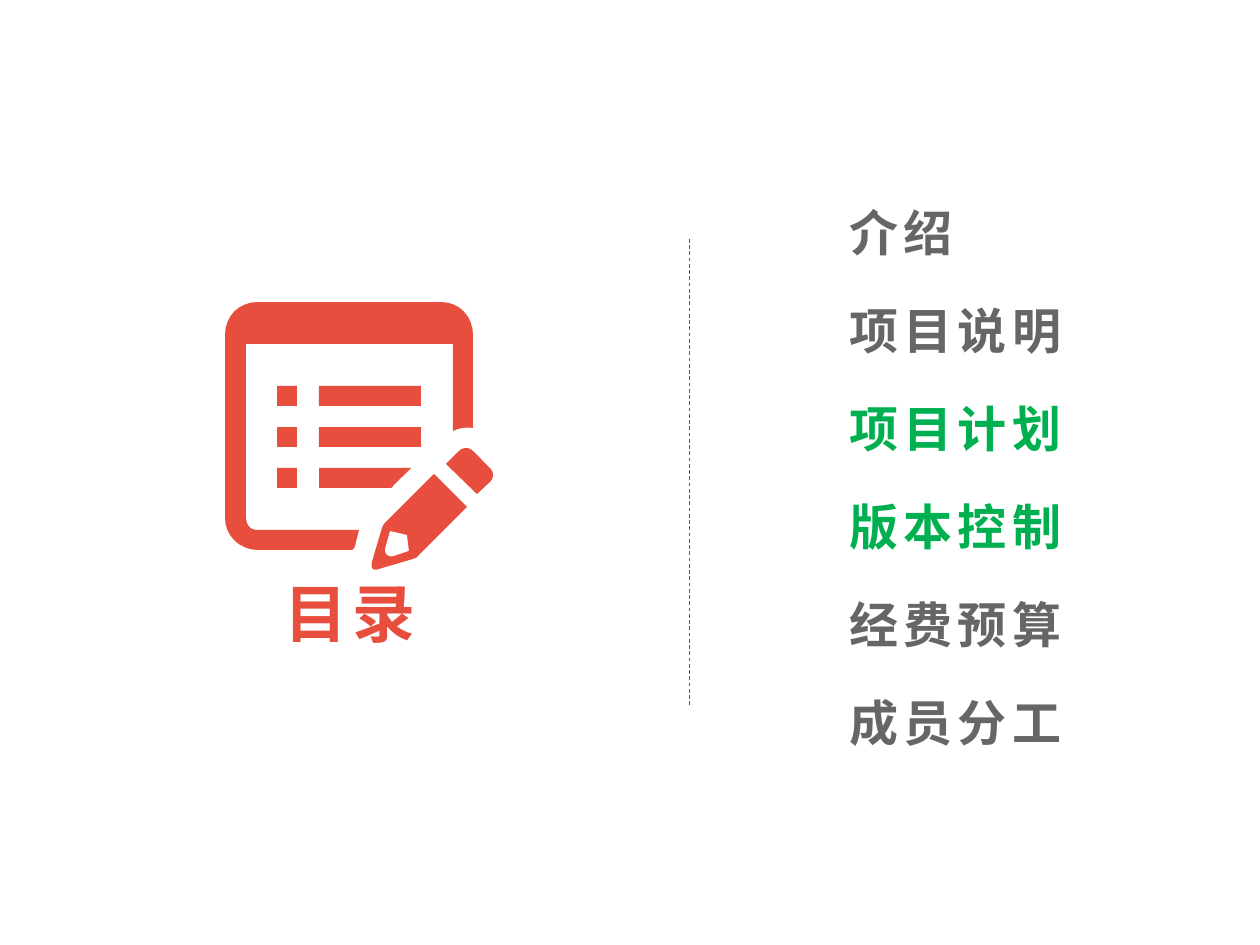
from pptx import Presentation
from pptx.dml.color import RGBColor
from pptx.enum.dml import MSO_LINE
from pptx.enum.shapes import MSO_CONNECTOR as CONN, MSO_SHAPE as SHAPE
from pptx.enum.text import MSO_ANCHOR as ANCHOR, MSO_AUTO_SIZE as AUTO, PP_ALIGN as ALIGN
from pptx.oxml.ns import qn
from pptx.util import Pt

# Content
TITLE = "目录"
TOPICS = [
    ("介绍", "gray"),
    ("项目说明", "gray"),
    ("项目计划", "green"),
    ("版本控制", "green"),
    ("经费预算", "gray"),
    ("成员分工", "gray"),
]
COLORS = {"red": "E74E3E", "gray": "666666", "green": "00B050", "blue": "0174AB"}
FONT = "Noto Sans CJK SC"

# Icon outlines in px: a pair is a corner, six numbers are a Bézier curve
PAGE = [(359, 530), (355, 546), (354, 549, 353, 550, 350, 550), (258, 550),
        (240, 550, 225, 536, 225, 518), (225, 335), (225, 316, 239, 302, 258, 302),
        (441, 302), (459, 302, 473, 316, 473, 335), (473, 428),
        (466, 427, 459, 428, 453, 431), (453, 344), (246, 344), (246, 517),
        (246, 525, 250, 530, 258, 530)]
PENCIL = [(434, 474), (467, 507), (418, 556), (417, 558, 415, 558, 413, 559),
          (379, 569), (374, 571, 370, 569, 372, 562), (382, 528),
          (383, 526, 383, 525, 385, 523)]
PENCIL_TIP = [(390, 531), (385, 549), (384, 554, 389, 558, 394, 556), (409, 551),
              (407, 535)]
ERASER = [(446, 464), (459, 451), (463, 447, 469, 447, 473, 451), (490, 468),
          (494, 472, 494, 478, 490, 482), (477, 494)]
CUT_BAR = [(319, 468), (411, 468), (393, 486), (392, 488, 391, 488, 389, 488),
           (319, 488)]
ICON = [[PAGE], [PENCIL, PENCIL_TIP], [ERASER], [CUT_BAR]]
ROW_TOP, ROW_STEP, ROW_H = 386, 41, 20
BULLET_X, BULLET_W, BAR_X, BAR_W = 277, 20, 319, 102

SCALE = 914400 / 126


def px(v):
    return round(v * SCALE)


def color(name):
    return RGBColor.from_string(COLORS[name])


def place(sp, x, y, w, h):
    sp.left, sp.top, sp.width, sp.height = px(x), px(y), px(w), px(h)


def style_text(p, size, name):
    font = p.runs[0].font
    font.size, font.bold, font.name = Pt(size), True, FONT
    font.color.rgb = color(name)
    rPr = p.runs[0]._r.get_or_add_rPr()
    rPr.set("spc", "300")
    rPr.makeelement(qn("a:ea"))
    ea = rPr.makeelement(qn("a:ea"), {"typeface": FONT})
    rPr.find(qn("a:latin")).addnext(ea)


def paint(sp):
    sp.fill.solid()
    sp.fill.fore_color.rgb = color("red")
    sp.line.fill.background()
    sp.shadow.inherit = False


def flatten(outline, steps=8):
    points = []
    for seg in outline:
        if len(seg) == 2:
            points.append(seg)
            continue
        ctrl = [points[-1], seg[:2], seg[2:4], seg[4:]]
        for i in range(1, steps + 1):
            t = i / steps
            weights = ((1 - t) ** 3, 3 * t * (1 - t) ** 2, 3 * t * t * (1 - t), t ** 3)
            points.append(tuple(sum(w * c[k] for w, c in zip(weights, ctrl))
                                for k in (0, 1)))
    return [(px(x), px(y)) for x, y in points]


def add_outline(shapes, outlines):
    first, *holes = [flatten(o) for o in outlines]
    builder = shapes.build_freeform(*first[0])
    builder.add_line_segments(first[1:], close=True)
    for hole in holes:
        builder.move_to(*hole[0])
        builder.add_line_segments(hole[1:], close=True)
    paint(builder.convert_to_shape())


prs = Presentation()
prs.slide_width, prs.slide_height = px(1260), px(945)
s = prs.slides.add_slide(prs.slide_layouts[1])

# Divider
line = s.shapes.add_connector(CONN.STRAIGHT, px(689), px(239), px(689), px(705))
line.line.color.rgb = color("blue")
line.line.width = Pt(0.5)
line.line.dash_style = MSO_LINE.DASH
spPr = line._element.spPr
spPr.append(spPr.makeelement(qn("a:effectLst")))

# Topic list
body = s.placeholders[1]
place(body, 837, 191, 247, 560)
tf = body.text_frame
tf.text = "\n".join(text for text, _ in TOPICS)
tf.auto_size, tf.vertical_anchor = AUTO.NONE, ANCHOR.TOP
tf.margin_top = tf.margin_bottom = 0
for p, (_, name) in zip(tf.paragraphs, TOPICS):
    p.line_spacing, p.space_before, p.space_after = Pt(40), Pt(0), Pt(16)
    pPr = p._p.get_or_add_pPr()
    pPr.set("marL", "0")
    pPr.set("indent", "0")
    pPr.append(pPr.makeelement(qn("a:buNone")))
    style_text(p, 28, name)

# Notepad icon
icon = s.shapes.add_group_shape().shapes
for outlines in ICON:
    add_outline(icon, outlines)
for row in range(3):
    cells = [(BULLET_X, BULLET_W), (BAR_X, BAR_W)]
    for x, w in cells[:1] if row == 2 else cells:  # the last bar is cut by the pencil
        y = ROW_TOP + row * ROW_STEP
        paint(icon.add_shape(SHAPE.RECTANGLE, px(x), px(y), px(w), px(ROW_H)))

# Title
title = s.shapes.title
place(title, 176, 568, 348, 89)
tf = title.text_frame
tf.text = TITLE
tf.auto_size, tf.vertical_anchor = AUTO.NONE, ANCHOR.MIDDLE
tf.paragraphs[0].alignment = ALIGN.CENTER
style_text(tf.paragraphs[0], 36, "red")

prs.save("out.pptx")
